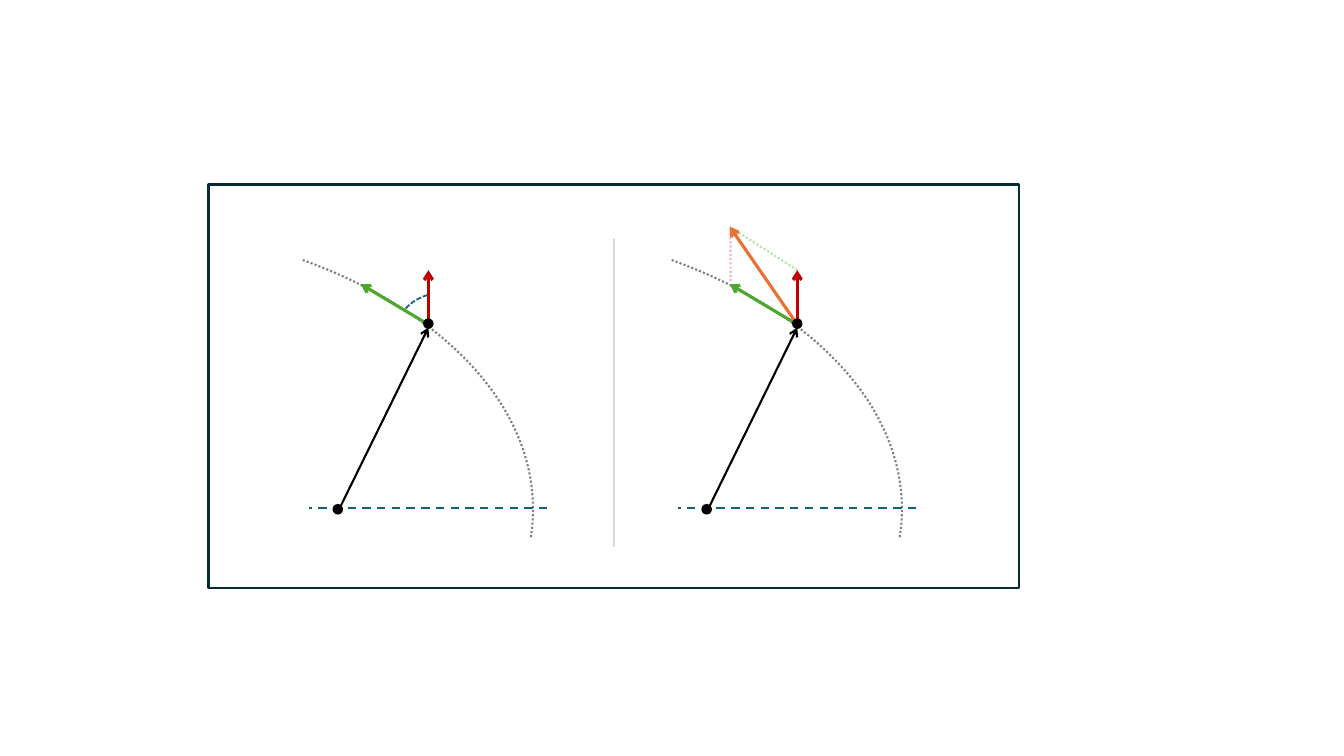
from pptx import Presentation
from pptx.dml.color import RGBColor
from pptx.enum.dml import MSO_LINE
from pptx.enum.shapes import MSO_CONNECTOR, MSO_SHAPE
from pptx.oxml.ns import qn
from pptx.util import Pt
from lxml.etree import SubElement

COLORS = {
    "black": "000000", "orbit": "808080", "axis": "156082", "red": "C00000",
    "green": "4EA72E", "pale": "B4E5A2", "orange": "E97132",
    "rule": "D9D9D9", "frame": "092A39",
}

# Key points of the left panel; the right panel is shifted by SHIFT
SHIFT = 263.5
DOT = 6
CENTER = (241.3, 363.8)
BODY = (306, 231.8)
UP = (306, 193)
ALONG = (257.8, 203)
SUM = (257.8, 162)

# Start, end, colour, width, dash, arrow at end, opacity in percent
BASE = [
    ((243.4, 361.4), (306, 234), "black", 1.5, None, True, 100),
    ((391, 362.9), (221, 362.9), "axis", 1.5, MSO_LINE.DASH, False, 100),
    (BODY, UP, "red", 2.25, None, True, 100),
    (BODY, ALONG, "green", 2.25, None, True, 100),
]
TOTAL = [
    (UP, SUM, "pale", 1.5, MSO_LINE.ROUND_DOT, False, 100),
    ((258.3, 200.9), (258.3, 162), "red", 1.5, MSO_LINE.ROUND_DOT, False, 27),
    (BODY, SUM, "orange", 2.25, None, True, 100),
]
DOTS = [CENTER, (BODY[0], 231.2)]

# Box, start and end adjustment, turn, colour, width, dash
ORBIT = ((-279.4, 158, 660.2, 411.1), (187.776, 2.259), 0,
         "orbit", 1.5, MSO_LINE.ROUND_DOT)
ANGLE = ((280.8, 209.5, 67.7, 67.7), (107.096, 125.669), 44.2,
         "axis", 1.25, MSO_LINE.SQUARE_DOT)

deck = Presentation()
deck.slide_width, deck.slide_height = Pt(960), Pt(540)
slide = deck.slides.add_slide(deck.slide_layouts[6])


def stroke(line, color, width, dash=None):
    line.color.rgb = RGBColor.from_string(COLORS[color])
    line.width = Pt(width)
    if dash:
        line.dash_style = dash


def draw_line(start, end, color, width, dash=None, arrow=False, alpha=100, dx=0):
    item = slide.shapes.add_connector(
        MSO_CONNECTOR.STRAIGHT, Pt(start[0] + dx), Pt(start[1]),
        Pt(end[0] + dx), Pt(end[1]))
    stroke(item.line, color, width, dash)
    props = item._element.spPr
    ln = props.find(qn("a:ln"))
    if alpha < 100:
        tint = ln.find(qn("a:solidFill"))[0]
        SubElement(tint, qn("a:alpha")).set("val", str(alpha * 1000))
    if arrow:
        SubElement(ln, qn("a:tailEnd")).set("type", "arrow")
    SubElement(props, qn("a:effectLst"))


def draw_shape(kind, box, color, width, dash=None, fill=None, dx=0):
    x, y, w, h = box
    item = slide.shapes.add_shape(kind, Pt(x + dx), Pt(y), Pt(w), Pt(h))
    item.shadow.inherit = False
    if fill:
        item.fill.solid()
        item.fill.fore_color.rgb = RGBColor.from_string(COLORS[fill])
    else:
        item.fill.background()
    stroke(item.line, color, width, dash)
    return item


def draw_arc(box, ends, turn, color, width, dash, dx=0):
    item = draw_shape(MSO_SHAPE.ARC, box, color, width, dash, dx=dx)
    item.adjustments[0], item.adjustments[1] = ends
    item.rotation = turn


def draw_panel(lines, dx):
    draw_arc(*ORBIT, dx=dx)
    for line in lines:
        draw_line(*line, dx=dx)
    for x, y in DOTS:
        box = (x - DOT / 2, y - DOT / 2, DOT, DOT)
        draw_shape(MSO_SHAPE.OVAL, box, "black", 1.5, fill="black", dx=dx)


# Frame and divider
draw_shape(MSO_SHAPE.RECTANGLE, (149, 131.8, 579, 288), "frame", 1.5)
draw_line((438.5, 170), (438.5, 391), "rule", 1.5)

# Left panel: two vectors and the angle between them
draw_panel(BASE, 0)
draw_arc(*ANGLE)

# Right panel: the vectors and their sum
draw_panel(BASE + TOTAL, SHIFT)

deck.save("out.pptx")
